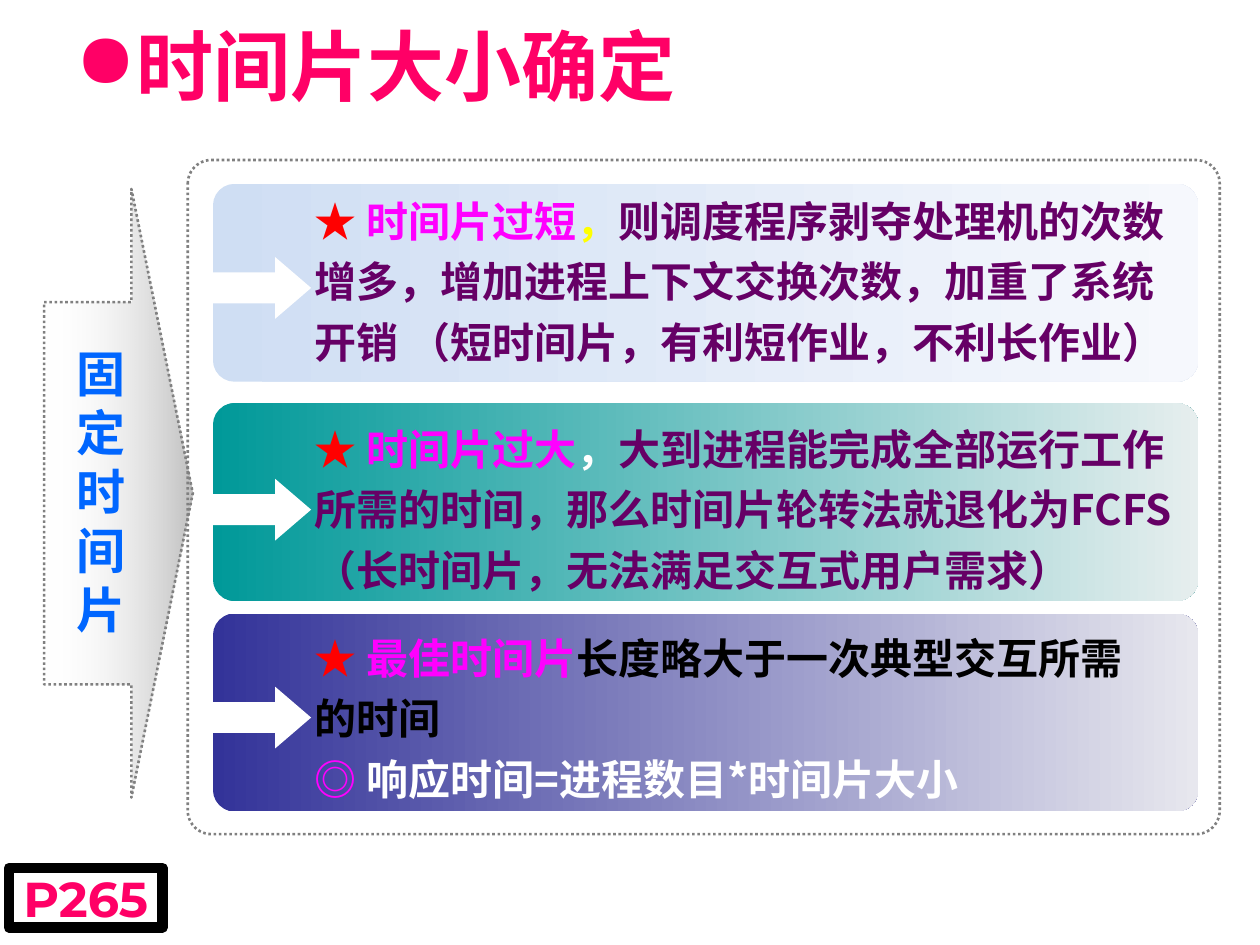
from typing import NamedTuple

from lxml.etree import SubElement
from pptx import Presentation
from pptx.dml.color import RGBColor
from pptx.enum.dml import MSO_LINE
from pptx.enum.shapes import MSO_SHAPE
from pptx.enum.text import MSO_ANCHOR, PP_ALIGN
from pptx.oxml.ns import qn
from pptx.util import Inches, Pt

COLORS = {
    "pink": "FF0066", "blue": "0066FF", "red": "FF0000", "magenta": "FF00FF",
    "yellow": "FFFF00", "purple": "660066", "white": "FFFFFF", "black": "000000",
    "gray": "808080", "ice": "CFDEF3", "ice_end": "F6F8FD", "teal": "009999",
    "teal_end": "E6EEEE", "navy": "333399", "navy_end": "E7E7EE",
}
CJK = "Noto Sans CJK SC"


class Run(NamedTuple):
    text: str
    color: str


class Panel(NamedTuple):
    top: float
    arrow_top: float
    start: str
    end: str
    text_top: float
    text_width: float
    paragraphs: list[list[Run]]


STAR = Run("★ ", "red")
PANELS = [
    Panel(1.46, 2.04, "ice", "ice_end", 1.42, 7.09, [[
        STAR, Run("时间片过短", "magenta"), Run("，", "yellow"),
        Run("则调度程序剥夺处理机的次数增多，增加进程上下文交换次数，加重了系统开销 "
            "（短时间片，有利短作业，不利长作业）", "purple")]]),
    Panel(3.2, 3.8, "teal", "teal_end", 3.23, 7.09, [[
        STAR, Run("时间片过大", "magenta"), Run("，", "white"),
        Run("大到进程能完成全部运行工作所需的时间，那么时间片轮转法就退化为FCFS"
            "（长时间片，无法满足交互式用户需求）", "purple")]]),
    Panel(4.87, 5.45, "navy", "navy_end", 4.89, 6.8, [
        [STAR, Run("最佳时间片", "magenta"), Run("长度略大于一次典型交互所需的时间", "black")],
        [Run("◎ ", "magenta"), Run("响应时间=进程数目*时间片大小", "white")]]),
]


def rgb(name: str) -> RGBColor:
    """Return the named colour."""
    return RGBColor.from_string(COLORS[name])


def write(sp, paragraphs: list[list[Run]], *, size: float, font: str = CJK,
          spacing: float | None = None, align=PP_ALIGN.LEFT, anchor=MSO_ANCHOR.TOP,
          margin: float | None = None, bullet: str = "") -> None:
    """Fill a shape with bold coloured runs."""
    tf = sp.text_frame
    tf.word_wrap = True
    tf.vertical_anchor = anchor
    if margin is not None:
        tf.margin_left = tf.margin_right = tf.margin_top = tf.margin_bottom = Inches(margin)
    for i, runs in enumerate(paragraphs):
        p = tf.paragraphs[0] if i == 0 else tf.add_paragraph()
        p.alignment = align
        if spacing:
            p.line_spacing = spacing
        if bullet:
            SubElement(p._p.get_or_add_pPr(), qn("a:buChar")).set("char", bullet)
        for run in runs:
            r = p.add_run()
            r.text = run.text
            r.font.size = Pt(size)
            r.font.bold = True
            r.font.color.rgb = rgb(run.color)
            r.font.name = font
            SubElement(r._r.get_or_add_rPr(), qn("a:ea")).set("typeface", CJK)


def text_box(s, box: tuple, paragraphs: list[list[Run]], **fmt) -> None:
    """Add a text box with formatted paragraphs."""
    write(s.shapes.add_textbox(*map(Inches, box)), paragraphs, **fmt)


def shape(s, kind, box: tuple, *, adj: tuple = (), fill: str = "", end: str = "",
          line: str = "", width: float = 1.5, dash=None):
    """Add a preset shape with a plain, gradient or empty fill."""
    sp = s.shapes.add_shape(kind, *map(Inches, box))
    sp.shadow.inherit = False
    for i, value in enumerate(adj):
        sp.adjustments[i] = value
    if end:
        sp.fill.gradient()
        sp.fill.gradient_angle = 0
        for stop, name, position in zip(sp.fill.gradient_stops, (fill, end), (0, 1)):
            stop.color.rgb = rgb(name)
            stop.position = position
    elif fill:
        sp.fill.solid()
        sp.fill.fore_color.rgb = rgb(fill)
    else:
        sp.fill.background()
    if line:
        sp.line.color.rgb = rgb(line)
        sp.line.width = Pt(width)
        sp.line.dash_style = dash
    else:
        sp.line.fill.background()
    return sp


def fade(sp, alphas: tuple) -> None:
    """Set the opacity of each gradient stop in percent."""
    for color, alpha in zip(sp._element.spPr.find(qn("a:gradFill")).iter(qn("a:srgbClr")), alphas):
        SubElement(color, qn("a:alpha")).set("val", str(alpha * 1000))


def main() -> None:
    """Build the slide and save it."""
    prs = Presentation()
    prs.slide_width, prs.slide_height = Inches(10), Inches(7.5)
    s = prs.slides.add_slide(prs.slide_layouts[6])
    dotted = {"line": "gray", "dash": MSO_LINE.ROUND_DOT}

    text_box(s, (0.5, 0, 9, 1.03), [[Run("时间片大小确定", "pink")]], size=44,
             font="Arial", anchor=MSO_ANCHOR.MIDDLE, bullet="●")
    arrow = shape(s, MSO_SHAPE.RIGHT_ARROW, (0.35, 1.5, 1.18, 4.83),
                  adj=(0.628, 0.413), fill="white", end="gray", **dotted)
    fade(arrow, (0, 50))
    text_box(s, (0.51, 2.68, 0.63, 2.44), [[Run(c, "blue")] for c in "固定时间片"], size=28)
    shape(s, MSO_SHAPE.ROUNDED_RECTANGLE, (1.49, 1.27, 8.19, 5.35), adj=(0.035,), **dotted)

    for panel in PANELS:
        shape(s, MSO_SHAPE.ROUNDED_RECTANGLE, (1.69, panel.top, 7.82, 1.57),
              adj=(0.109,), fill=panel.start, end=panel.end)
        shape(s, MSO_SHAPE.RIGHT_ARROW, (1.61, panel.arrow_top, 0.86, 0.49),
              adj=(0.5, 0.583), fill="white")
    for panel in PANELS:
        text_box(s, (2.4, panel.text_top, panel.text_width, 1.54), panel.paragraphs,
                 size=24, spacing=1.2)

    page = shape(s, MSO_SHAPE.RECTANGLE, (0.07, 6.89, 1.22, 0.47), line="black", width=6)
    write(page, [[Run("P265", "pink")]], size=28, font="Montserrat",
          align=PP_ALIGN.CENTER, margin=0)

    prs.save("out.pptx")


if __name__ == "__main__":
    main()
